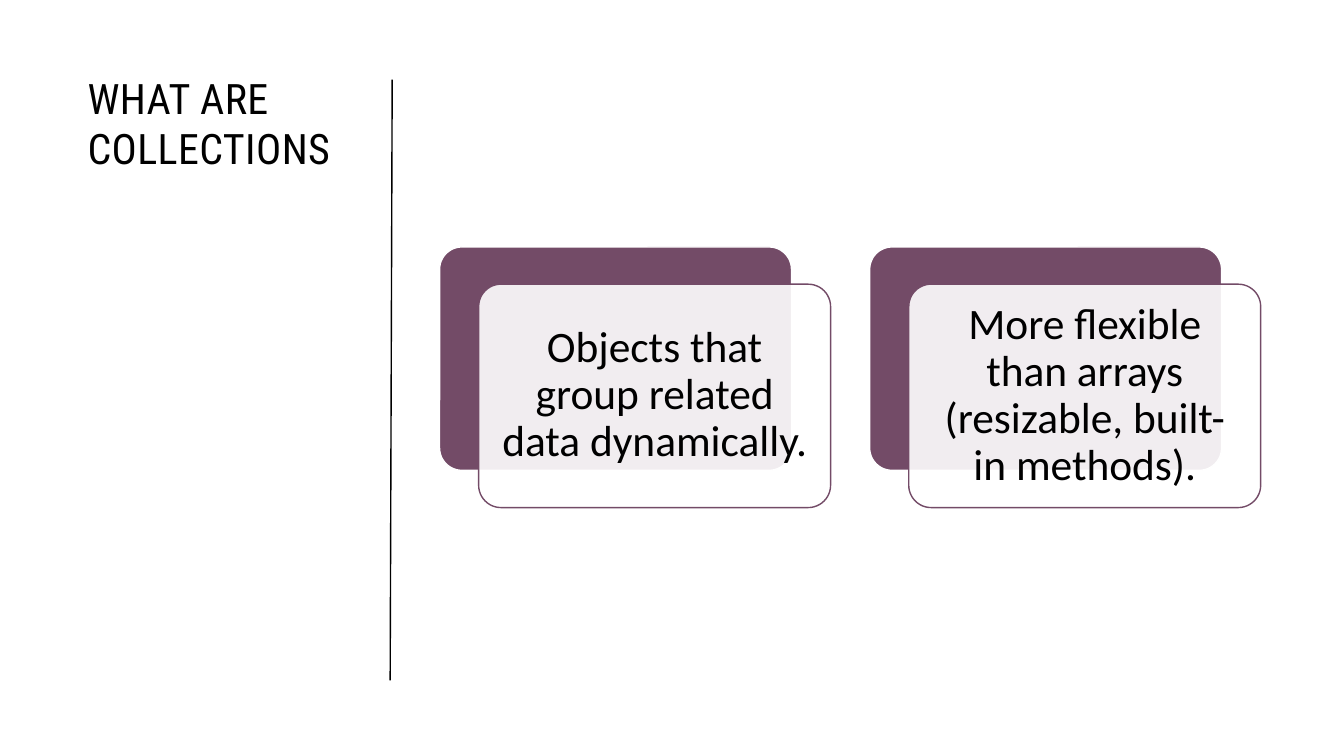
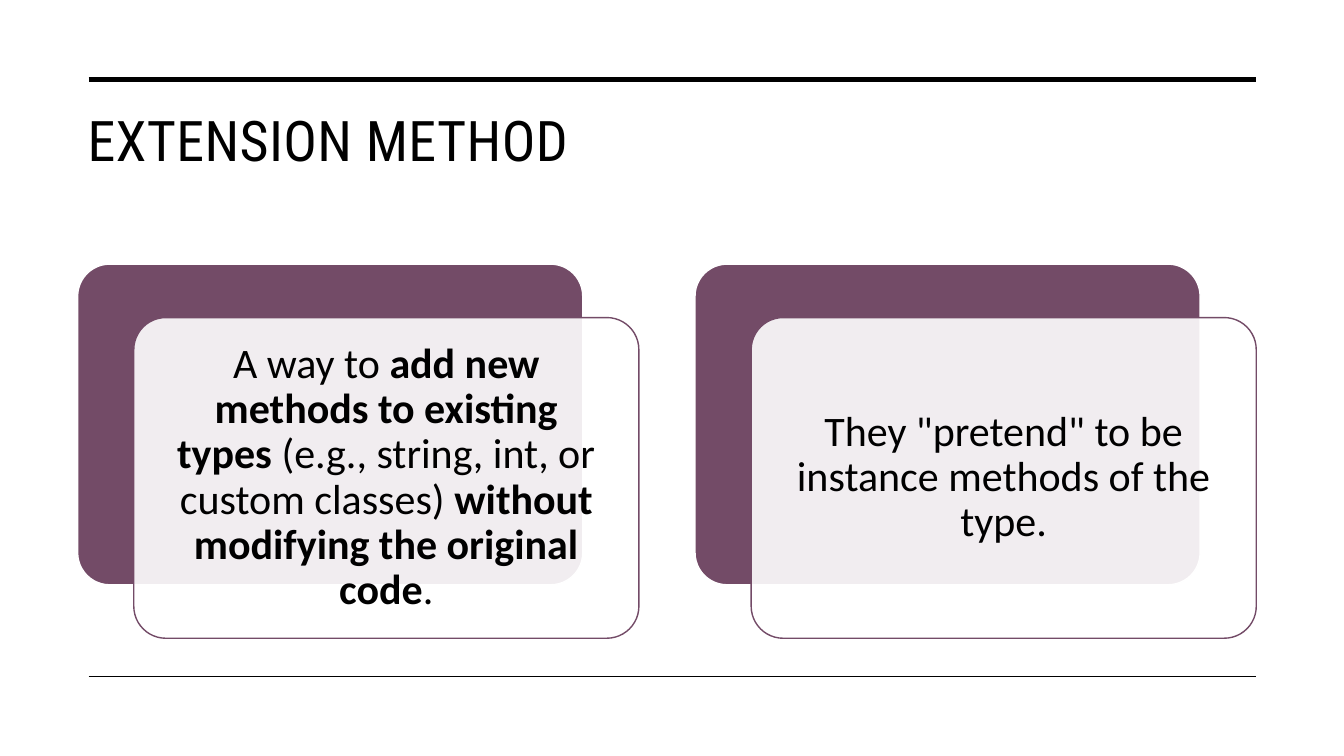
from lxml import etree
from pptx import Presentation
from pptx.dml.color import RGBColor
from pptx.enum.shapes import MSO_CONNECTOR, MSO_SHAPE
from pptx.enum.text import MSO_ANCHOR, PP_ALIGN
from pptx.oxml.ns import qn
from pptx.util import Inches, Pt

STRAIGHT = MSO_CONNECTOR.STRAIGHT
ROUNDED = MSO_SHAPE.ROUNDED_RECTANGLE
CENTER, LEFT = PP_ALIGN.CENTER, PP_ALIGN.LEFT
TOP, MIDDLE = MSO_ANCHOR.TOP, MSO_ANCHOR.MIDDLE

BLACK, WHITE, PLUM = "000000", "FFFFFF", "734B67"
TITLE_FONT, BODY_FONT = "Roboto Condensed", "Calibri"
CARD_OPACITY = 90  # percent
NBSP = chr(160)  # no-break space, keeps words on one line

# Content: lines are (x1, y1, x2, y2, weight); a card is a list of (text, bold)
SLIDES = [
    dict(
        title="WHAT ARE COLLECTIONS", title_box=(0.77, 0.67, 2.76, 4.91), title_size=30,
        lines=[(3.87, 6.75, 3.89, 0.79, 1)],
        origin=(4.36, 2.45), card_width=3.49, card_size=31, inset=0.13,
        cards=[
            [("Objects that group related data dynamically.", False)],
            [("More flexible than arrays (resizable, built-in methods).", False)],
        ],
    ),
    dict(
        title="EXTENSION METHOD", title_box=(0.77, 1, 11.69, 1.43), title_size=40,
        lines=[(0.88, 0.79, 12.46, 0.79, 3.5), (0.88, 6.71, 12.46, 6.71, 1)],
        origin=(0.77, 2.62), card_width=5.01, card_size=30, inset=0.12,
        cards=[
            [(f"A way to{NBSP}", False), ("add new methods to existing types", True),
             (f"{NBSP}(e.g.,{NBSP}string,{NBSP}int, or custom classes){NBSP}", False),
             ("without modifying the original code", True), (".", False)],
            [('They "pretend" to be instance methods of the type.', False)],
        ],
    ),
]


def rgb(value):
    return RGBColor.from_string(value)


def inches(values):
    return [Inches(v) for v in values]


def write(shape, runs, font, size, align, anchor, insets, spacing=1.0, tracking=None):
    tf = shape.text_frame
    left, top, right, bottom = inches(insets)
    frame = dict(word_wrap=True, vertical_anchor=anchor, margin_left=left,
                 margin_top=top, margin_right=right, margin_bottom=bottom)
    for name, value in frame.items():
        setattr(tf, name, value)
    p = tf.paragraphs[0]
    p.alignment, p.line_spacing = align, spacing
    for text, bold in runs:
        r = p.add_run()
        r.text = text
        for name, value in dict(name=font, size=Pt(size), bold=bold).items():
            setattr(r.font, name, value)
        r.font.color.rgb = rgb(BLACK)
        if tracking:
            r.font._element.set("spc", str(tracking))


def add_title(s, text, box, size):
    write(s.shapes.add_textbox(*inches(box)), [(text, False)], TITLE_FONT, size,
          LEFT, TOP, (0.1, 0.05, 0.1, 0.05), tracking=30)


def add_line(s, x1, y1, x2, y2, weight):
    line = s.shapes.add_connector(STRAIGHT, *inches((x1, y1, x2, y2)))
    line.line.color.rgb, line.line.width = rgb(BLACK), Pt(weight)
    etree.SubElement(line._element.spPr, qn("a:effectLst"))


def add_panel(s, box, fill, outline, opacity=100):
    sp = s.shapes.add_shape(ROUNDED, *inches(box))
    sp.adjustments[0] = 0.1
    sp.shadow.inherit = False
    sp.fill.solid()
    sp.fill.fore_color.rgb = rgb(fill)
    sp.line.color.rgb, sp.line.width = rgb(outline), Pt(1)
    if opacity < 100:
        color = sp._element.spPr.find(qn("a:solidFill"))[0]
        etree.SubElement(color, qn("a:alpha")).set("val", str(opacity * 1000))
    return sp


def add_cards(s, cards, origin, width, size, inset):
    # Front panel is shifted by 1/9 of the width and 1/6 of the height
    height = width * 0.635
    dx, dy = width / 9, height / 6
    pitch = width + 2 * dx
    for i, runs in enumerate(cards):
        x, y = origin[0] + i * pitch, origin[1]
        add_panel(s, (x, y, width, height), PLUM, WHITE)
        front = add_panel(s, (x + dx, y + dy, width, height), WHITE, PLUM, CARD_OPACITY)
        write(front, runs, BODY_FONT, size, CENTER, MIDDLE, [inset] * 4, spacing=0.9)


def main():
    prs = Presentation()
    prs.slide_width, prs.slide_height = inches((13.33, 7.5))
    for d in SLIDES:
        s = prs.slides.add_slide(prs.slide_layouts[6])
        for line in d["lines"]:
            add_line(s, *line)
        add_title(s, d["title"], d["title_box"], d["title_size"])
        add_cards(s, d["cards"], d["origin"], d["card_width"], d["card_size"], d["inset"])
    prs.save("out.pptx")


if __name__ == "__main__":
    main()
